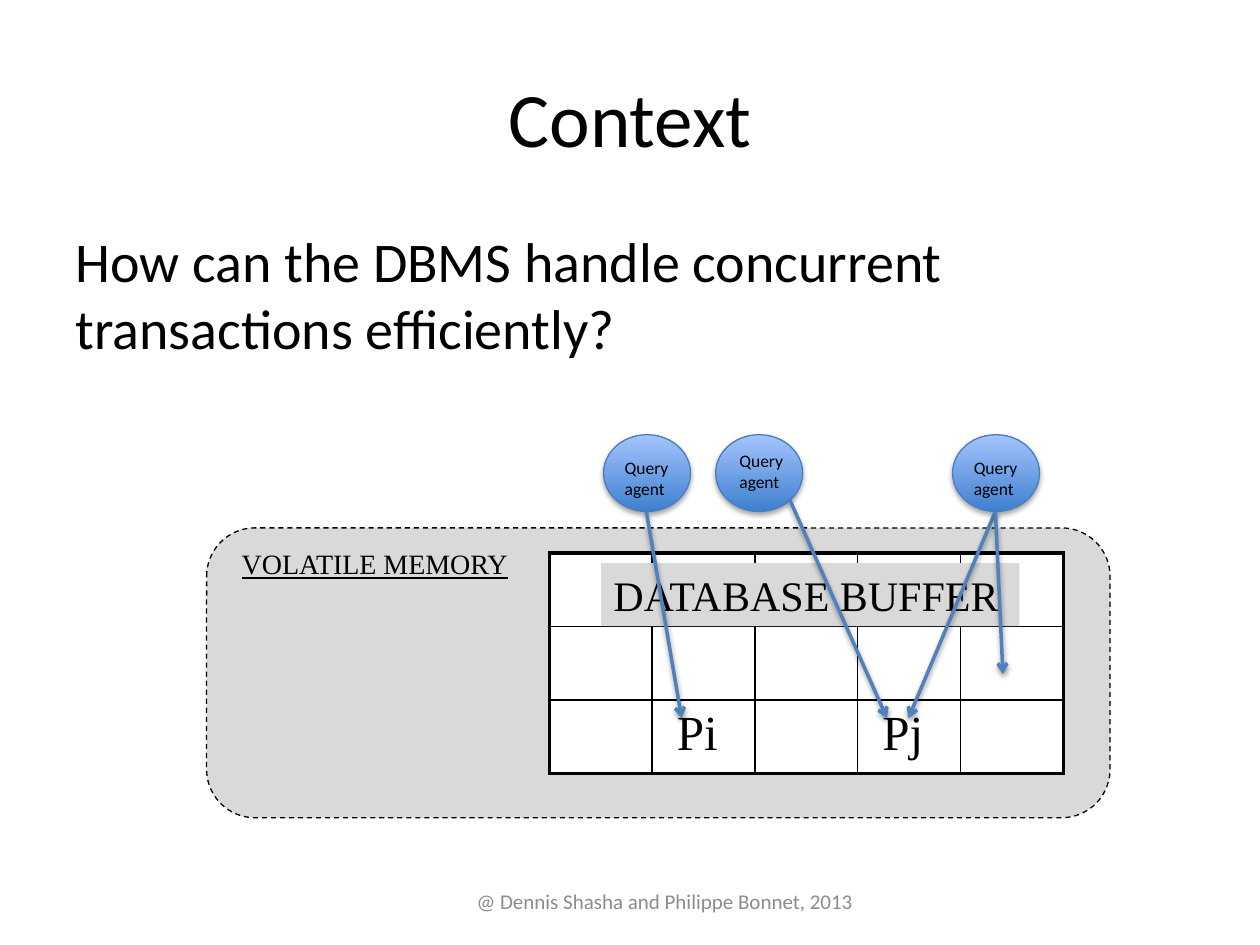
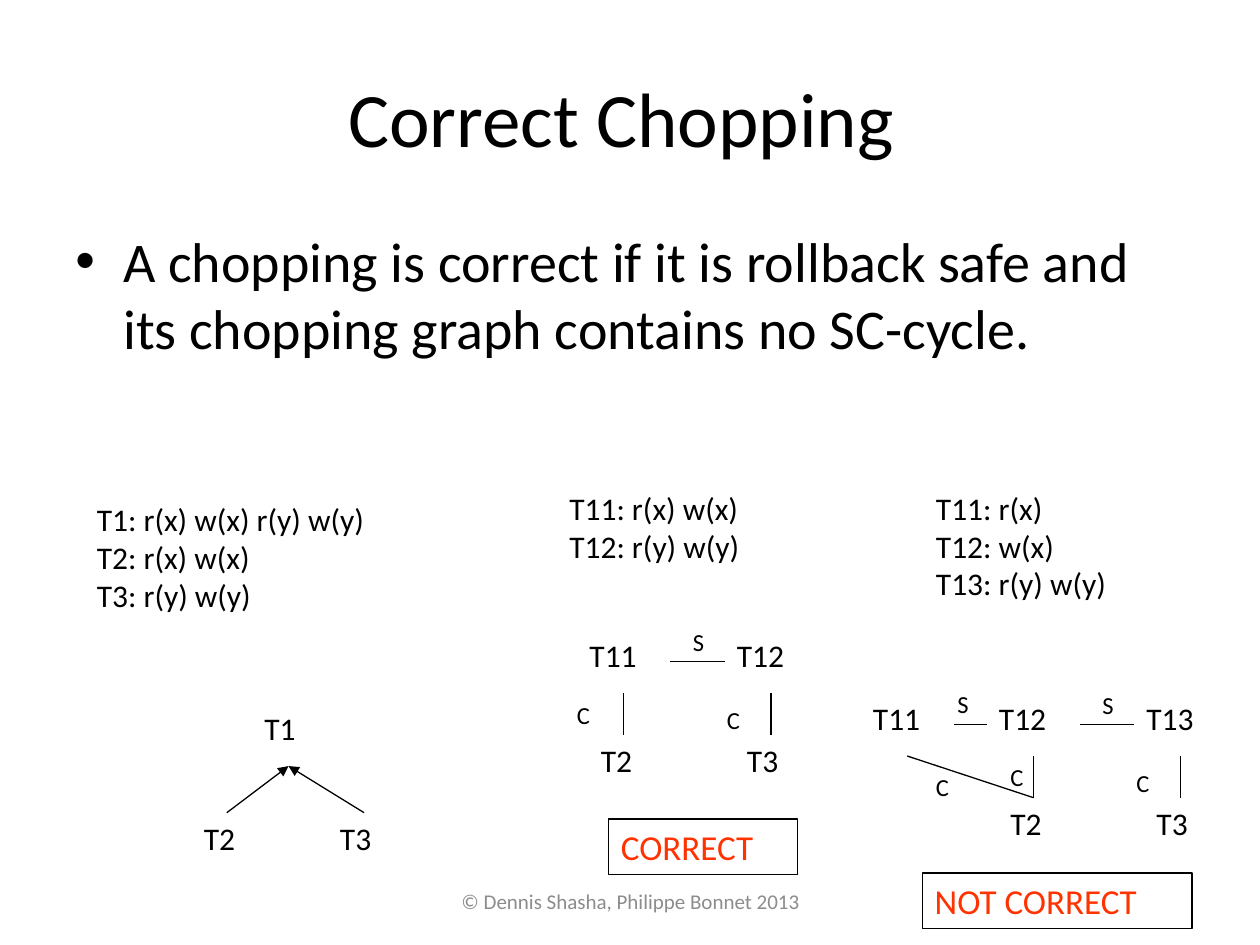
from dataclasses import dataclass
from lxml import etree
from pptx import Presentation
from pptx.dml.color import RGBColor
from pptx.enum.dml import MSO_LINE
from pptx.enum.shapes import MSO_CONNECTOR, MSO_SHAPE
from pptx.enum.text import MSO_ANCHOR, MSO_AUTO_SIZE, PP_ALIGN
from pptx.oxml.ns import qn
from pptx.util import Inches, Pt

LEFT, CENTER = PP_ALIGN.LEFT, PP_ALIGN.CENTER
TOP, MIDDLE = MSO_ANCHOR.TOP, MSO_ANCHOR.MIDDLE
GROW, FIXED = MSO_AUTO_SIZE.SHAPE_TO_FIT_TEXT, MSO_AUTO_SIZE.NONE
ROUND, OVAL = MSO_SHAPE.ROUNDED_RECTANGLE, MSO_SHAPE.OVAL
STRAIGHT, DASH = MSO_CONNECTOR.STRAIGHT, MSO_LINE.DASH


@dataclass(frozen=True)
class Theme:
    """Colours, fonts and type sizes of the deck."""
    sans: str = "Calibri"
    serif: str = "Times New Roman"
    ink: str = "000000"
    paper: str = "FFFFFF"
    panel: str = "D9D9D9"
    muted: str = "8C8C8C"
    alert: str = "FF3300"
    arrow: str = "4F81BD"
    rim: str = "4B7EBC"
    deep: str = "3F80CE"
    pale: str = "A4C4FF"
    title: int = 44
    body: int = 32
    page: int = 28
    buffer: int = 24
    verdict: int = 20
    node: int = 18
    memory: int = 16
    edge: int = 14
    foot: int = 12
    agent: int = 10
    hair: float = 0.75


T = Theme()


def rgb(code):
    """Turn a hex code into a colour."""
    return RGBColor.from_string(code)


def add(parent, tag, **attrs):
    """Append a drawing element with attributes."""
    node = etree.SubElement(parent, qn("a:" + tag))
    for key, val in attrs.items():
        node.set(key, str(val))
    return node


def shade(shape, alpha=0, blur=3.1, drop=1.8):
    """Give a shape a downward shadow, or none when alpha is 0."""
    props = shape._element.spPr
    for old in props.findall(qn("a:effectLst")):
        props.remove(old)
    effect = add(props, "effectLst")
    if alpha:
        cast = add(effect, "outerShdw", blurRad=Pt(blur), dist=Pt(drop),
                   dir=90 * 60000, rotWithShape=0)
        add(add(cast, "srgbClr", val=T.ink), "alpha", val=alpha * 1000)


def write(frame, words, size=T.node, font=T.sans, color=T.ink, align=LEFT,
          under=False, before=0, bullet=False):
    """Fill a text frame, one paragraph for each line."""
    for i, line in enumerate(words.split("\n")):
        para = frame.paragraphs[0] if i == 0 else frame.add_paragraph()
        para.alignment, para.space_before = align, Pt(before)
        run = para.add_run()
        run.text = line
        run.font.size, run.font.name = Pt(size), font
        run.font.color.rgb = rgb(color)
        run.font.underline = under
        if bullet:
            props = para._p.get_or_add_pPr()
            props.set("marL", str(Inches(0.38)))
            props.set("indent", str(Inches(-0.38)))
            add(props, "buFont", typeface="Arial")
            add(props, "buChar", char="•")


def text(slide, box, words, wrap=False, anchor=TOP, fill=None, rim=None,
         **style):
    """Place a text box, optionally filled or outlined."""
    shape = slide.shapes.add_textbox(*map(Inches, box))
    frame = shape.text_frame
    frame.word_wrap = wrap
    frame.auto_size = FIXED if wrap else GROW
    frame.vertical_anchor = anchor
    if fill:
        shape.fill.solid()
        shape.fill.fore_color.rgb = rgb(fill)
    if rim:
        shape.line.color.rgb = rgb(rim)
        shape.line.width = Pt(T.hair)
    write(frame, words, **style)


def link(slide, start, end, color=T.ink, width=T.hair, head=None, alpha=0):
    """Draw a straight line with an optional arrowhead at its end."""
    line = slide.shapes.add_connector(STRAIGHT, *map(Inches, (*start, *end)))
    line.line.color.rgb = rgb(color)
    line.line.width = Pt(width)
    if head:
        add(line.line._get_or_add_ln(), "tailEnd", type=head)
    shade(line, alpha, drop=1.6)


def page(deck, title, body, foot, width, bullet=False):
    """Add a slide with its title, body and footer."""
    slide = deck.slides.add_slide(deck.slide_layouts[6])
    text(slide, (0.5, 0.3, 9, 1.25), title, wrap=True, anchor=MIDDLE,
         size=T.title, align=CENTER)
    text(slide, (0.5, 1.75, 9, 4.95), body, wrap=True, size=T.body,
         before=6.4, bullet=bullet)
    text(slide, (3.42, 6.95, width, 0.4), foot, wrap=True, anchor=MIDDLE,
         size=T.foot, color=T.muted, align=CENTER)
    return slide


def border(cell, row, col, rows, cols):
    """Draw a cell's edges, thick on the outside of the table."""
    outer = {"lnL": col == 0, "lnR": col == cols - 1,
             "lnT": row == 0, "lnB": row == rows - 1}
    props = cell._tc.get_or_add_tcPr()
    for tag, thick in outer.items():
        line = add(props, tag, w=Pt(2.25 if thick else 1))
        add(add(line, "solidFill"), "srgbClr", val=T.ink)


def pages(slide, box, labels, rows=3, cols=5):
    """Draw the buffer's page grid; labels map (row, column) to text."""
    grid = slide.shapes.add_table(rows, cols, *map(Inches, box)).table
    grid.first_row = grid.horz_banding = False
    for row in range(rows):
        for col in range(cols):
            cell = grid.cell(row, col)
            border(cell, row, col, rows, cols)
            cell.fill.solid()
            cell.fill.fore_color.rgb = rgb(T.paper)
            if (row, col) in labels:
                write(cell.text_frame, labels[row, col], size=T.page,
                      font=T.serif, before=5.6)


def memory(slide, box):
    """Draw volatile memory with the database buffer inside."""
    x, y, w, h = box
    panel = slide.shapes.add_shape(ROUND, *map(Inches, box))
    panel.adjustments[0] = 0.167
    panel.fill.solid()
    panel.fill.fore_color.rgb = rgb(T.panel)
    panel.line.color.rgb = rgb(T.ink)
    panel.line.width, panel.line.dash_style = Pt(T.hair), DASH
    shade(panel)
    text(slide, (x + 0.18, y + 0.1, 2.35, 0.37), "VOLATILE MEMORY",
         fill=T.panel, size=T.memory, font=T.serif, under=True)
    pages(slide, (x + 2.72, y + 0.2, 4.08, 1.75),
          {(2, 1): " Pi", (2, 3): " Pj"})
    text(slide, (x + 3.13, y + 0.28, 3.32, 0.5), "DATABASE BUFFER",
         fill=T.panel, size=T.buffer, font=T.serif)


def agent(slide, box, dx=0.07, dy=0.13):
    """Draw a query agent, its label offset by dx and dy."""
    x, y, w, h = box
    ball = slide.shapes.add_shape(OVAL, *map(Inches, box))
    ball.fill.gradient()
    ball.fill.gradient_angle = 90
    for stop, color in zip(ball.fill.gradient_stops, (T.deep, T.pale)):
        stop.color.rgb = rgb(color)
    ball.line.color.rgb = rgb(T.rim)
    ball.line.width = Pt(T.hair)
    shade(ball, 35)
    text(slide, (x + dx, y + dy, 0.55, 0.44), "Query\nagent", size=T.agent)


def nodes(slide, x, y, places):
    """Place node names at offsets from x, y."""
    for name, dx, dy in places:
        wide = 0.74 if len(name) == 3 else 0.57
        text(slide, (x + dx, y + dy, wide, 0.5), name)


def mark(slide, x, y, name):
    """Label an edge of a graph."""
    text(slide, (x, y, 0.32, 0.33), name, size=T.edge)


def tree(slide, x, y):
    """Draw T2 and T3 pointing at T1."""
    nodes(slide, x, y, [("T1", 0.48, 0), ("T2", 0, 0.87), ("T3", 1.08, 0.87)])
    for dx in (0.28, 1.37):
        link(slide, (x + dx, y + 0.87), (x + 0.77, y + 0.5), head="triangle")


def chop(slide, x, y, first, second, mid):
    """Draw two sibling pieces over T2 and T3; mid places the left C."""
    nodes(slide, x, y, [(first, 0, 0), (second, 1.17, 0),
                        ("T2", 0.09, 0.83), ("T3", 1.25, 0.83)])
    link(slide, (x + 0.74, y + 0.25), (x + 1.17, y + 0.25))
    for dx in (0.37, 1.54):
        link(slide, (x + dx, y + 0.83), (x + dx, y + 0.5))
    mark(slide, x + 0.82, y - 0.07, "S")
    mark(slide, x + mid[0], y + mid[1], "C")
    mark(slide, x + 1.09, y + 0.55, "C")


def cycle(slide, x, y):
    """Draw the chopping graph that holds an SC-cycle."""
    nodes(slide, x, y, [("T11", 0, 0)])
    chop(slide, x + 1, y, "T12", "T13", (0.09, 0.5))
    link(slide, (x + 1.37, y + 0.83), (x + 0.37, y + 0.5))
    link(slide, (x + 0.74, y + 0.25), (x + 1, y + 0.25))
    mark(slide, x + 0.67, y - 0.08, "S")
    mark(slide, x + 0.5, y + 0.58, "C")


def context(deck):
    """Build the slide on concurrent query agents."""
    slide = page(deck, "Context", "How can the DBMS handle concurrent "
                 "transactions efficiently?",
                 "@ Dennis Shasha and Philippe Bonnet, 2013 ", 3.75)
    memory(slide, (1.64, 4.19, 7.17, 2.3))
    for x, dx, dy in ((4.79, 0.07, 0.13), (5.68, 0.09, 0.07),
                      (7.56, 0.07, 0.13)):
        agent(slide, (x, 3.45, 0.69, 0.61), dx, dy)
    for start, end in (((5.13, 4.06), (5.41, 5.7)),
                       ((6.27, 3.97), (7.04, 5.7)),
                       ((7.9, 4.06), (7.21, 5.7)),
                       ((7.9, 4.06), (7.96, 5.35))):
        link(slide, start, end, T.arrow, 2, "arrow", 38)


def chopping(deck):
    """Build the slide on correct chopping."""
    slide = page(deck, "Correct Chopping ", "A chopping is correct if it is "
                 "rollback safe and its chopping graph contains no SC-cycle.",
                 "© Dennis Shasha, Philippe Bonnet 2013", 3.17, bullet=True)
    for box, words in (
            ((0.67, 3.92, 3.26, 1.3),
             "T1: r(x) w(x) r(y) w(y)\nT2: r(x) w(x)\nT3: r(y) w(y)"),
            ((4.42, 3.83, 2.13, 0.9), "T11: r(x) w(x)\nT12: r(y) w(y)"),
            ((7.33, 3.83, 2.13, 1.3),
             "T11: r(x) \nT12: w(x)\nT13: r(y) w(y)")):
        text(slide, box, words)
    tree(slide, 1.52, 5.58)
    chop(slide, 4.58, 5, "T11", "T12", (-0.1, 0.51))
    cycle(slide, 6.83, 5.5)
    for box, words in (((4.83, 6.5, 1.5, 0.44), "CORRECT"),
                       ((7.32, 6.93, 2.14, 0.44), "NOT CORRECT")):
        text(slide, box, words, rim=T.ink, size=T.verdict, color=T.alert)


deck = Presentation()
deck.slide_width, deck.slide_height = Inches(10), Inches(7.5)
context(deck)
chopping(deck)
deck.save("out.pptx")
